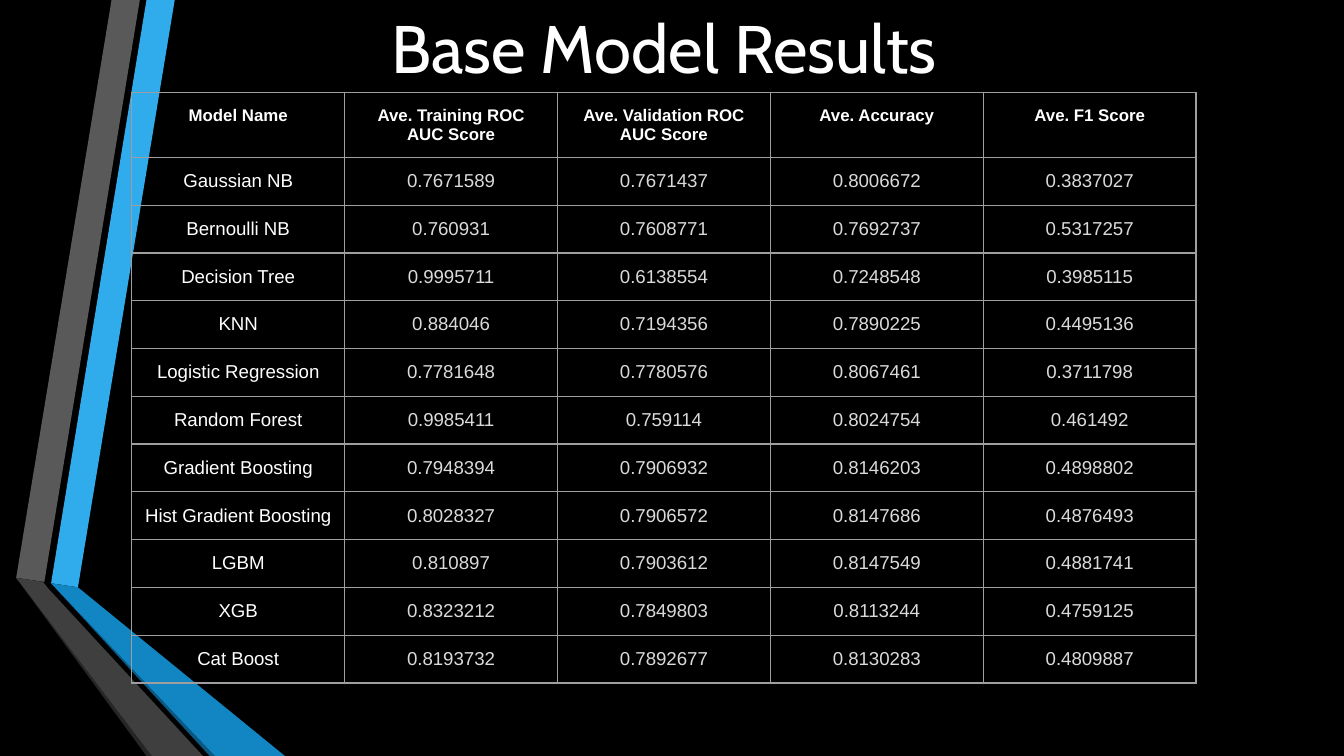
from dataclasses import dataclass

from lxml.etree import SubElement
from pptx import Presentation
from pptx.dml.color import RGBColor as RGB
from pptx.enum.text import MSO_ANCHOR as Anchor, PP_ALIGN as Align
from pptx.oxml.ns import qn
from pptx.util import Inches, Pt


@dataclass(frozen=True)
class Theme:
    background: str = "000000"
    text: str = "FFFFFF"
    score: str = "DADADA"
    grid: str = "9E9E9E"
    title_font: str = "Cabin"
    table_font: str = "Arial"
    title_size: float = 36
    header_size: float = 9
    body_size: float = 10
    grid_width: float = 0.75


THEME = Theme()
WIDTH = 10
HEIGHT = WIDTH * 9 / 16

# Ribbon facets from back to front: colour and corners in inches
RIBBONS = [
    ("30ACEC", [(0.38, 4.34), (0.58, 4.37), (1.3, 0), (1.09, 0)]),
    ("595959", [(1.04, 0), (0.83, 0), (0.12, 4.3), (0.33, 4.33)]),
    ("262626", [(0.12, 4.3), (1.09, HEIGHT), (1.13, HEIGHT)]),
    ("0B5982", [(0.38, 4.34), (1.56, HEIGHT), (1.6, HEIGHT)]),
    ("1186C3", [(0.38, 4.34), (1.6, HEIGHT), (2.12, HEIGHT), (0.58, 4.37)]),
    ("3F3F3F", [(1.51, HEIGHT), (0.36, 4.38), (0.32, 4.33), (0.12, 4.3),
                (1.13, HEIGHT)]),
]

HEADERS = ["Model Name", "Ave. Training ROC AUC Score",
           "Ave. Validation ROC AUC Score", "Ave. Accuracy", "Ave. F1 Score"]
RESULTS = [
    ("Gaussian NB", "0.7671589", "0.7671437", "0.8006672", "0.3837027"),
    ("Bernoulli NB", "0.760931", "0.7608771", "0.7692737", "0.5317257"),
    ("Decision Tree", "0.9995711", "0.6138554", "0.7248548", "0.3985115"),
    ("KNN", "0.884046", "0.7194356", "0.7890225", "0.4495136"),
    ("Logistic Regression", "0.7781648", "0.7780576", "0.8067461", "0.3711798"),
    ("Random Forest", "0.9985411", "0.759114", "0.8024754", "0.461492"),
    ("Gradient Boosting", "0.7948394", "0.7906932", "0.8146203", "0.4898802"),
    ("Hist Gradient Boosting", "0.8028327", "0.7906572", "0.8147686", "0.4876493"),
    ("LGBM", "0.810897", "0.7903612", "0.8147549", "0.4881741"),
    ("XGB", "0.8323212", "0.7849803", "0.8113244", "0.4759125"),
    ("Cat Boost", "0.8193732", "0.7892677", "0.8130283", "0.4809887"),
]


def add_ribbon(slide, color, corners):
    start, *others = [(Inches(x), Inches(y)) for x, y in corners]
    builder = slide.shapes.build_freeform(*start)
    builder.add_line_segments(others, close=True)
    ribbon = builder.convert_to_shape()
    ribbon.shadow.inherit = False
    ribbon.fill.solid()
    ribbon.fill.fore_color.rgb = RGB.from_string(color)
    ribbon.line.fill.background()


def style_paragraph(paragraph, font_name, size, color, bold=False):
    paragraph.alignment = Align.CENTER
    font = paragraph.font
    font.name, font.size, font.bold = font_name, Pt(size), bold
    font.color.rgb = RGB.from_string(color)


def set_insets(target):
    target.margin_left = target.margin_right = Inches(0.1)
    target.margin_top = target.margin_bottom = Inches(0.1)


def add_borders(cell):
    properties = cell._tc.get_or_add_tcPr()
    for side in ("a:lnL", "a:lnR", "a:lnT", "a:lnB"):
        line = SubElement(properties, qn(side), w=str(Pt(THEME.grid_width)))
        fill = SubElement(line, qn("a:solidFill"))
        SubElement(fill, qn("a:srgbClr"), val=THEME.grid)


def fill_cell(cell, text, size, color, bold):
    cell.text = text
    set_insets(cell)
    cell.vertical_anchor = Anchor.TOP
    add_borders(cell)
    cell.fill.background()
    style_paragraph(cell.text_frame.paragraphs[0], THEME.table_font, size, color, bold)


def add_results_table(slide):
    header_height, row_height = 0.48, 0.35
    rows = [HEADERS, *RESULTS]
    results = slide.shapes.add_table(
        len(rows), len(HEADERS), Inches(0.98), Inches(0.69), Inches(7.92),
        Inches(header_height + row_height * len(RESULTS))).table
    results.first_row = results.horz_banding = False
    for r, values in enumerate(rows):
        is_header = r == 0
        results.rows[r].height = Inches(header_height if is_header else row_height)
        size = THEME.header_size if is_header else THEME.body_size
        for c, value in enumerate(values):
            color = THEME.text if is_header or c == 0 else THEME.score
            fill_cell(results.cell(r, c), value, size, color, is_header)


def add_title(slide, text):
    title = slide.shapes.add_textbox(
        Inches(0.28), Inches(-0.05), Inches(9.32), Inches(0.81)).text_frame
    title.word_wrap = True
    set_insets(title)
    title.text = text
    style_paragraph(title.paragraphs[0], THEME.title_font, THEME.title_size, THEME.text)


def main():
    deck = Presentation()
    deck.slide_width, deck.slide_height = Inches(WIDTH), Inches(HEIGHT)
    slide = deck.slides.add_slide(deck.slide_layouts[6])

    # Black backdrop with folded ribbons
    slide.background.fill.solid()
    slide.background.fill.fore_color.rgb = RGB.from_string(THEME.background)
    for color, corners in RIBBONS:
        add_ribbon(slide, color, corners)

    # Scores and heading
    add_results_table(slide)
    add_title(slide, "Base Model Results")
    deck.save("out.pptx")


if __name__ == "__main__":
    main()
